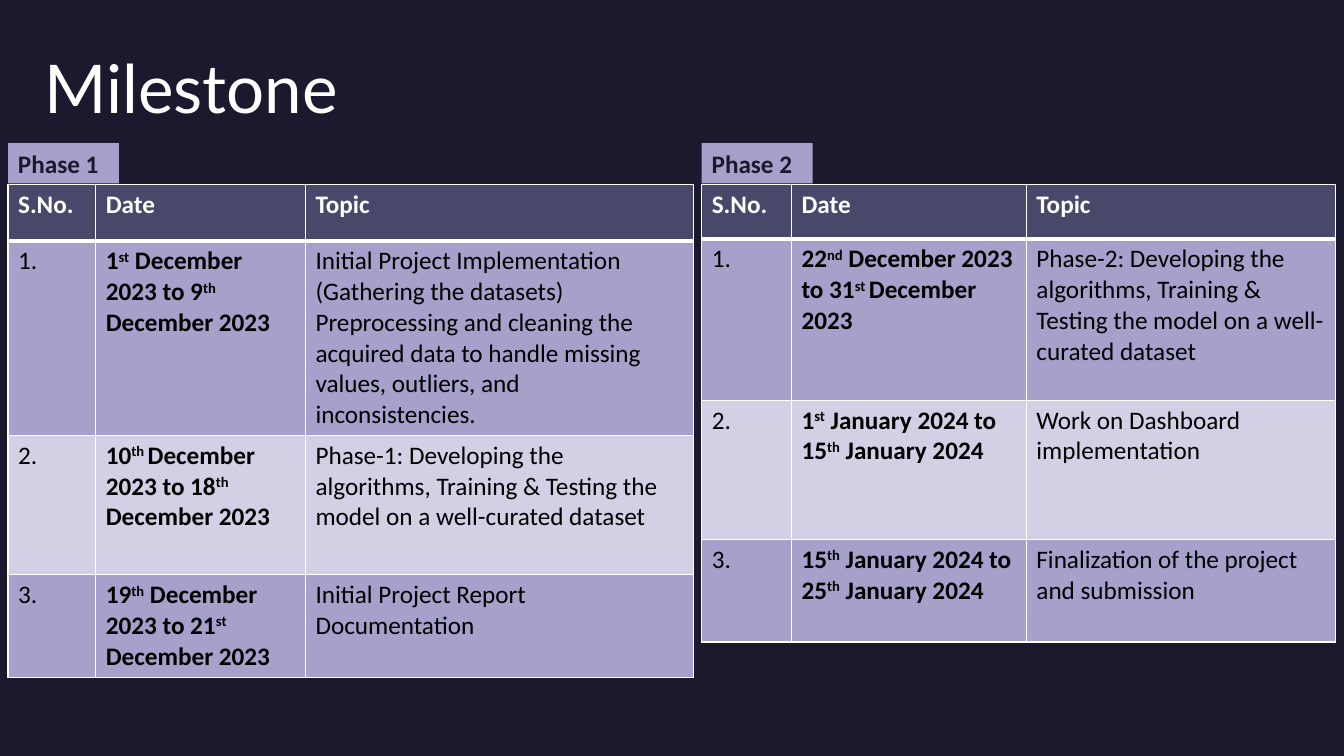
from pptx import Presentation
from pptx.dml.color import RGBColor
from pptx.enum.shapes import MSO_SHAPE
from pptx.enum.text import MSO_ANCHOR, PP_ALIGN
from pptx.oxml.ns import qn
from pptx.util import Inches, Pt
from lxml import etree

RECT = MSO_SHAPE.RECTANGLE
BOTTOM = MSO_ANCHOR.BOTTOM
LEFT = PP_ALIGN.LEFT

THEME = {
    "background": "1B192E", "header": "48486A", "band": "A5A1CA",
    "light_band": "D2D0E5", "white": "FFFFFF", "black": "000000",
    "title_font": "Lato", "body_font": "Calibri",
    "title_size": 48, "body_size": 18,
}

HEADINGS = ["S.No.", "Date", "Topic"]
TRAINING = "Developing the algorithms, Training & Testing the model on a well-curated dataset"

PHASES = [
    {
        "name": "Phase 1", "left": 0.08,
        "cols": [0.87, 2.08, 3.85], "rows": [0.56, 1.93, 1.38, 1.02],
        "milestones": [
            ("1^st^ December 2023 to 9^th^ December 2023",
             "Initial Project Implementation (Gathering the datasets) Preprocessing and cleaning "
             "the acquired data to handle missing values, outliers, and inconsistencies."),
            ("10^th ^December 2023 to 18^th ^December 2023", "Phase-1: " + TRAINING),
            ("19^th^ December 2023 to 21^st ^December 2023",
             "Initial Project Report Documentation"),
        ],
    },
    {
        "name": "Phase 2", "left": 6.96,
        "cols": [0.89, 2.33, 3.07], "rows": [0.54, 1.6, 1.38, 1.02],
        "milestones": [
            ("22^nd^ December 2023 to 31^st ^December 2023", "Phase-2: " + TRAINING),
            ("1^st^ January 2024 to 15^th^ January 2024", "Work on Dashboard implementation"),
            ("15^th^ January 2024 to 25^th^ January 2024",
             "Finalization of the project and submission"),
        ],
    },
]


def add_text(p, text, color, bold=False, font="body_font", size="body_size"):
    for i, part in enumerate(text.split("^")):
        r = p.add_run()
        r.text = part
        r.font.name = THEME[font]
        r.font.size = Pt(THEME[size])
        r.font.bold = bold
        r.font.color.rgb = RGBColor.from_string(THEME[color])
        if i % 2:
            r.font._element.set("baseline", "30000")


def add_border(cell, side, width):
    tcPr = cell._tc.get_or_add_tcPr()
    ln = etree.SubElement(tcPr, qn("a:" + side), w=str(Pt(width)))
    fill = etree.SubElement(ln, qn("a:solidFill"))
    etree.SubElement(fill, qn("a:srgbClr"), val=THEME["white"])


prs = Presentation()
prs.slide_width = Inches(13.33)
prs.slide_height = Inches(7.5)
s = prs.slides.add_slide(prs.slide_layouts[6])
s.background.fill.solid()
s.background.fill.fore_color.rgb = RGBColor.from_string(THEME["background"])

title = s.shapes.add_textbox(Inches(0.44), Inches(0.54), Inches(7.92), Inches(0.73))
tf = title.text_frame
tf.word_wrap = True
tf.vertical_anchor = BOTTOM
tf.margin_left = tf.margin_top = tf.margin_right = tf.margin_bottom = 0
tf.paragraphs[0].line_spacing = 0.9
add_text(tf.paragraphs[0], "Milestone", "white", font="title_font", size="title_size")

for phase in PHASES:
    left = Inches(phase["left"])
    rows = [HEADINGS] + [(f"{n}.", date, topic)
                         for n, (date, topic) in enumerate(phase["milestones"], 1)]
    table = s.shapes.add_table(len(rows), len(HEADINGS), left, Inches(1.83),
                               Inches(sum(phase["cols"])), Inches(sum(phase["rows"]))).table
    table.horz_banding = False
    for column, width in zip(table.columns, phase["cols"]):
        column.width = Inches(width)
    for i, (height, texts) in enumerate(zip(phase["rows"], rows)):
        table.rows[i].height = Inches(height)
        fill = "header" if i == 0 else "band" if i % 2 else "light_band"
        for j, text in enumerate(texts):
            cell = table.cell(i, j)
            add_text(cell.text_frame.paragraphs[0], text,
                     "white" if i == 0 else "black", bold=i == 0 or j == 1)
            add_border(cell, "lnL", 1)
            add_border(cell, "lnR", 1)
            add_border(cell, "lnT", 3 if i == 1 else 1)
            add_border(cell, "lnB", 3 if i == 0 else 1)
            cell.fill.solid()
            cell.fill.fore_color.rgb = RGBColor.from_string(THEME[fill])

    sp = s.shapes.add_shape(RECT, left, Inches(1.42), Inches(1.1), Inches(0.4))
    sp.shadow.inherit = False
    sp.fill.solid()
    sp.fill.fore_color.rgb = RGBColor.from_string(THEME["band"])
    sp.line.fill.background()
    tf = sp.text_frame
    tf.word_wrap = False
    p = tf.paragraphs[0]
    p.alignment = LEFT
    p.space_after = Pt(6)
    add_text(p, phase["name"], "background", bold=True)
    tf.vertical_anchor = MSO_ANCHOR.TOP

prs.save("out.pptx")
